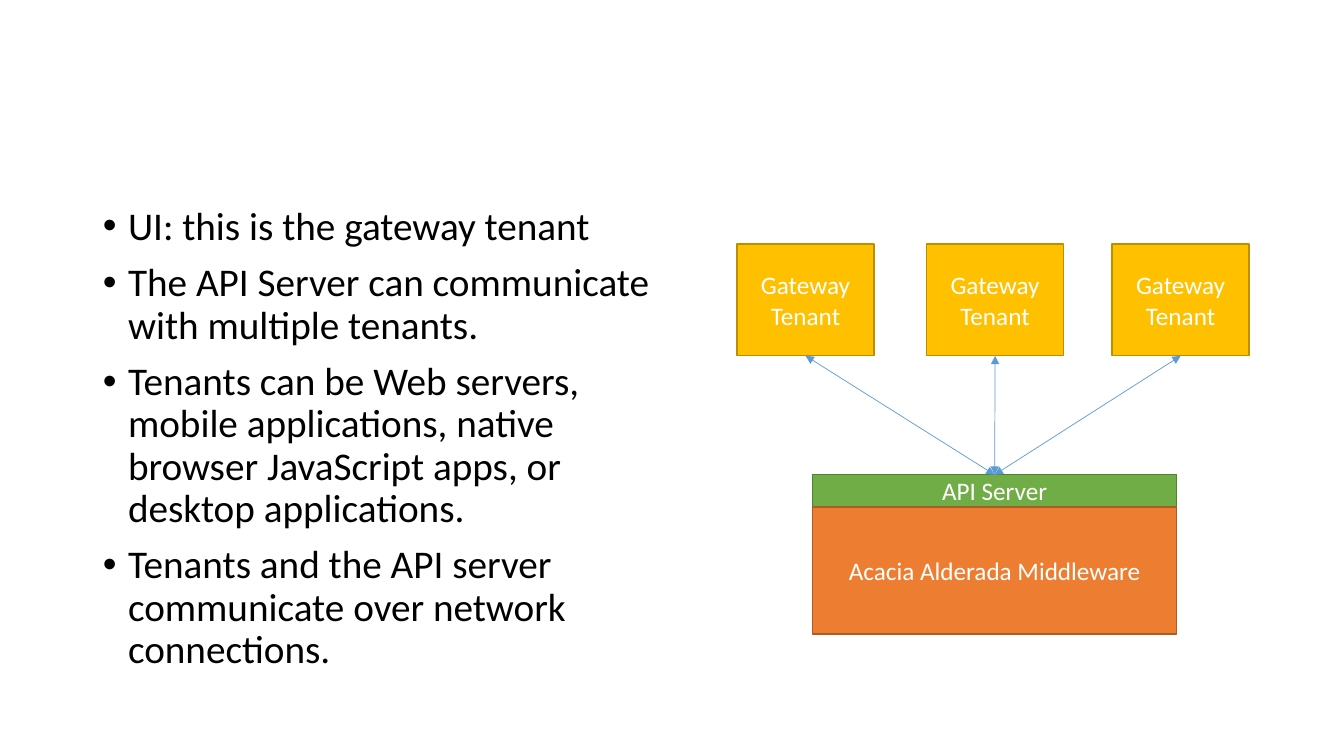
import pptx
import pptx.util
import pptx.dml.color
import pptx.enum.shapes
import pptx.enum.text
import pptx.oxml.ns
import lxml.etree

Inches = pptx.util.Inches
Pt = pptx.util.Pt
qn = pptx.oxml.ns.qn

BULLETS = [
    "UI: this is the gateway tenant",
    "The API Server can communicate with multiple tenants.",
    "Tenants can be Web servers, mobile applications, native browser "
    "JavaScript apps, or desktop applications.",
    "Tenants and the API server communicate over network connections.",
]
TENANT = {"text": "Gateway Tenant", "fill": "FFC000", "line": "BD8E00"}
TENANT_LEFTS = [7.31, 9.19, 11.03]
TENANT_TOP, TENANT_W, TENANT_H = 2.42, 1.36, 1.11
# Server layers from top to bottom, each with its height
LAYERS = [
    ({"text": "API Server", "fill": "70AD47", "line": "538035"}, 0.32),
    ({"text": "Acacia Alderada Middleware", "fill": "ED7D31", "line": "AF5C24"}, 1.26),
]
SERVER_LEFT, SERVER_TOP, SERVER_W = 8.06, 4.71, 3.61
ARROW_COLOR = "5B9BD5"
BODY_BOX = (0.92, 2, 5.67, 4.76)
BODY_FORMAT = {"line_spacing": 0.9, "space_before": Pt(10), "space_after": Pt(0)}


def rgb(value):
    return pptx.dml.color.RGBColor.from_string(value)


def set_font(font, size, color):
    for name, value in {"name": "Calibri", "size": Pt(size)}.items():
        setattr(font, name, value)
    font.color.rgb = rgb(color)


def add_box(slide, style, left, top, width, height):
    sp = slide.shapes.add_shape(
        pptx.enum.shapes.MSO_SHAPE.RECTANGLE,
        *map(Inches, (left, top, width, height)))
    sp.shadow.inherit = False
    sp.fill.solid()
    sp.fill.fore_color.rgb = rgb(style["fill"])
    sp.line.color.rgb = rgb(style["line"])
    sp.line.width = Pt(1)
    tf = sp.text_frame
    tf.word_wrap = True
    tf.vertical_anchor = pptx.enum.text.MSO_ANCHOR.MIDDLE
    p = tf.paragraphs[0]
    p.alignment = pptx.enum.text.PP_ALIGN.CENTER
    r = p.add_run()
    r.text = style["text"]
    set_font(r.font, 18, "FFFFFF")


def add_double_arrow(slide, x1, y1, x2, y2):
    cxn = slide.shapes.add_connector(
        pptx.enum.shapes.MSO_CONNECTOR.STRAIGHT, *map(Inches, (x1, y1, x2, y2)))
    cxn.line.color.rgb = rgb(ARROW_COLOR)
    cxn.line.width = Pt(0.5)
    ln = cxn.line._get_or_add_ln()
    for end in ("a:headEnd", "a:tailEnd"):
        lxml.etree.SubElement(ln, qn(end), type="triangle")
    lxml.etree.SubElement(cxn._element.spPr, qn("a:effectLst"))


def fill_body(body):
    for name, value in zip(("left", "top", "width", "height"), BODY_BOX):
        setattr(body, name, Inches(value))
    tf = body.text_frame
    tf.word_wrap = True
    tf.auto_size = pptx.enum.text.MSO_AUTO_SIZE.NONE
    for i, text in enumerate(BULLETS):
        p = tf.paragraphs[0] if i == 0 else tf.add_paragraph()
        for name, value in BODY_FORMAT.items():
            setattr(p, name, value)
        pPr = p._p.get_or_add_pPr()
        pPr.set("marL", str(Inches(0.25)))
        pPr.set("indent", str(Inches(-0.25)))
        lxml.etree.SubElement(pPr, qn("a:buFont"), typeface="Arial")
        lxml.etree.SubElement(pPr, qn("a:buChar"), char="•")
        r = p.add_run()
        r.text = text
        set_font(r.font, 28, "000000")


def main():
    prs = pptx.Presentation()
    prs.slide_width, prs.slide_height = Inches(13.33), Inches(7.5)
    slide = prs.slides.add_slide(prs.slide_layouts[1])

    # The slide has no title text
    title = slide.shapes.title._element
    title.getparent().remove(title)
    fill_body(slide.placeholders[1])

    # Tenants
    for left in TENANT_LEFTS:
        add_box(slide, TENANT, left, TENANT_TOP, TENANT_W, TENANT_H)

    # Server stack
    top = SERVER_TOP
    for style, height in LAYERS:
        add_box(slide, style, SERVER_LEFT, top, SERVER_W, height)
        top += height

    # Arrows from each tenant to the server
    for left in TENANT_LEFTS:
        add_double_arrow(slide, left + TENANT_W / 2, TENANT_TOP + TENANT_H,
                         SERVER_LEFT + SERVER_W / 2, SERVER_TOP)

    prs.save("out.pptx")


if __name__ == "__main__":
    main()
